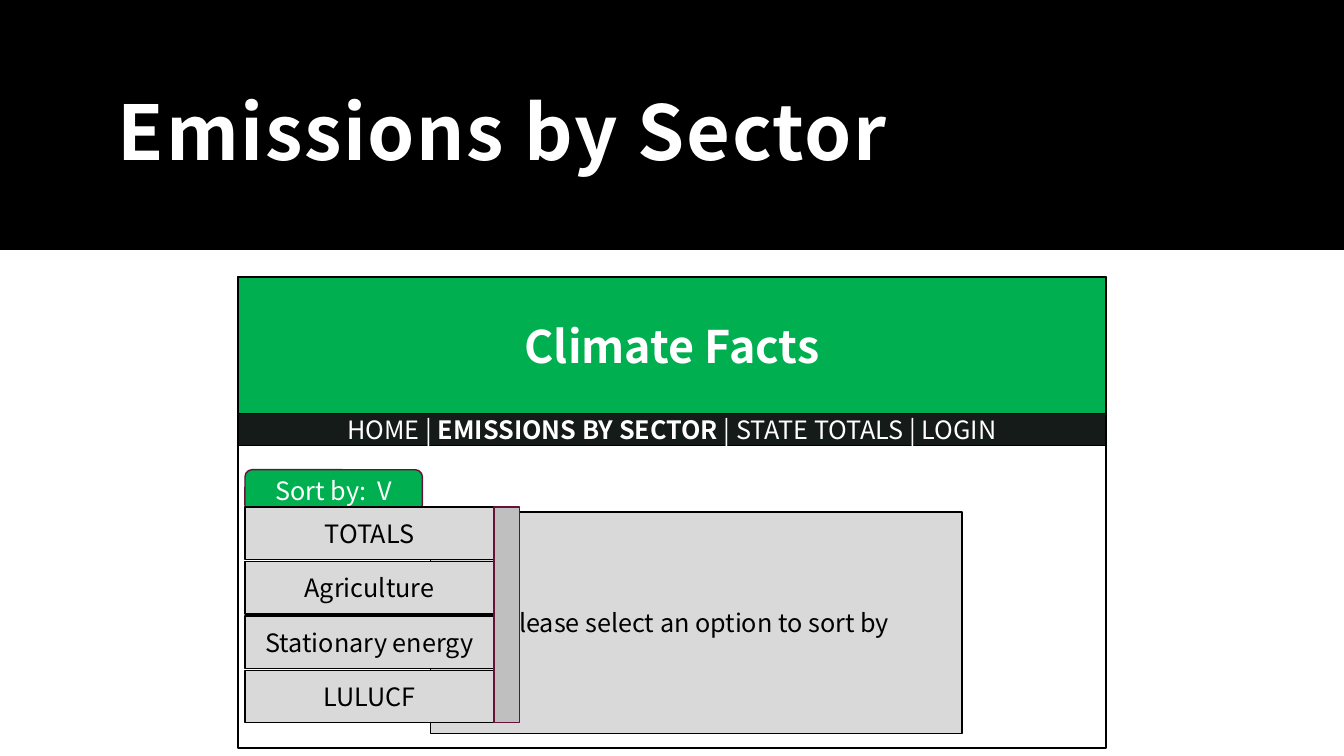
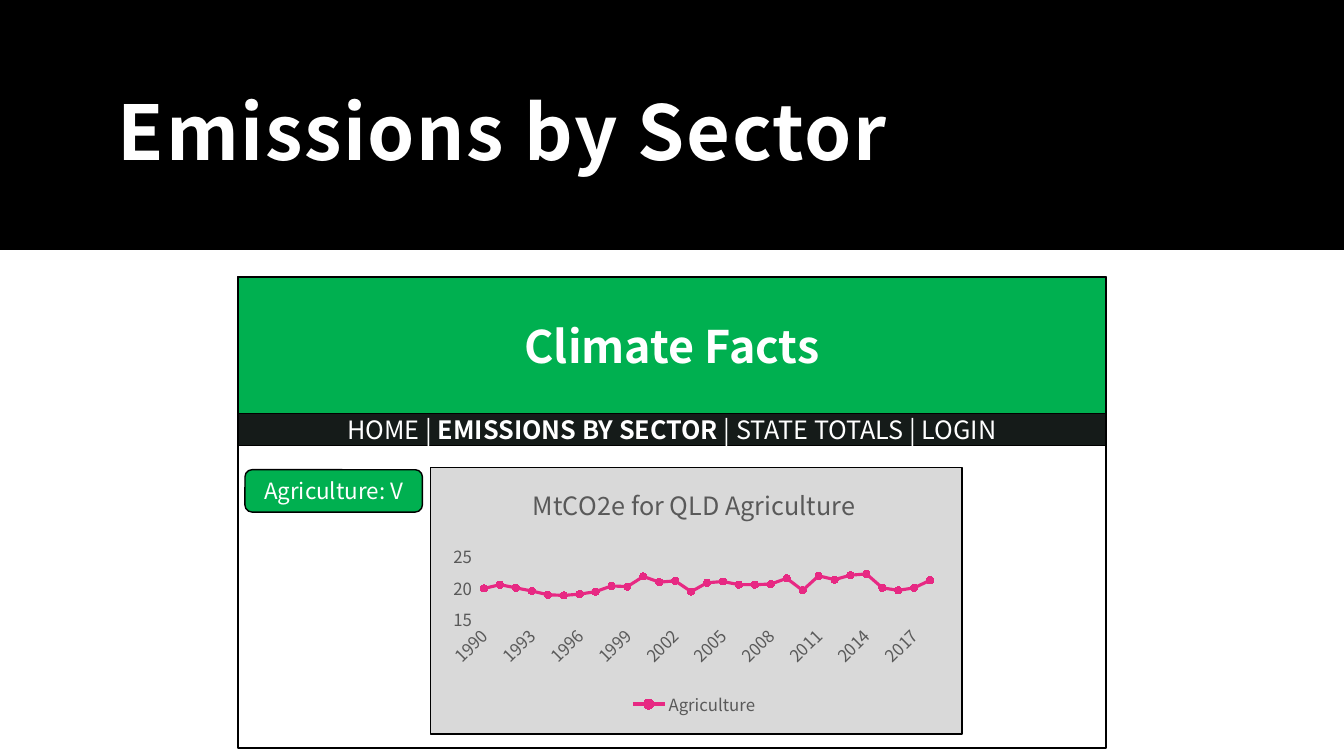
from lxml import etree
from pptx import Presentation
from pptx.chart.data import CategoryChartData
from pptx.dml.color import RGBColor
from pptx.enum.chart import (XL_CHART_TYPE as ChartType, XL_LEGEND_POSITION as LegendSide,
                             XL_MARKER_STYLE as Marker, XL_TICK_MARK as Tick)
from pptx.enum.shapes import MSO_SHAPE as Shape
from pptx.enum.text import MSO_ANCHOR as Anchor, PP_ALIGN as Align
from pptx.oxml import parse_xml
from pptx.oxml.ns import nsdecls
from pptx.util import Inches, Pt

FONT = "Noto Sans CJK JP"
BLACK = RGBColor(0x00, 0x00, 0x00)
WHITE = RGBColor(0xFF, 0xFF, 0xFF)
GREEN = RGBColor(0x00, 0xB0, 0x50)
CHARCOAL = RGBColor(0x15, 0x1B, 0x19)
PANEL_GREY = RGBColor(0xD9, 0xD9, 0xD9)
SCROLL_GREY = RGBColor(0xBF, 0xBF, 0xBF)
LABEL_GREY = RGBColor(0x59, 0x59, 0x59)
PLUM = RGBColor(0x65, 0x12, 0x39)
PINK = RGBColor(0xE7, 0x29, 0x83)

# Mock web page geometry, in inches
SITE_LEFT, SITE_TOP, SITE_WIDTH, SITE_HEIGHT = 2.36, 2.75, 8.61, 4.67
MENU_LEFT, MENU_TOP, MENU_WIDTH = 2.43, 5.03, 2.47
ROW_HEIGHT, ROW_PITCH = 0.52, 0.54
PANEL_LEFT, PANEL_WIDTH, PANEL_BOTTOM = 4.27, 5.27, 7.28

EMISSIONS = [19.9, 20.5, 20, 19.5, 18.9, 18.8, 19, 19.4, 20.3, 20.2,
             21.8, 20.9, 21.1, 19.4, 20.8, 21, 20.5, 20.5, 20.6, 21.5,
             19.6, 21.9, 21.3, 22, 22.2, 20, 19.6, 20, 21.2]


class Deck:
    """Holds the shared style and the current slide."""

    def __init__(self):
        self.deck = Presentation()
        self.deck.slide_width = Inches(13.33)
        self.deck.slide_height = Inches(7.5)
        self.page = None

    def style(self, font, size, color, **extra):
        values = {"name": FONT, "size": Pt(size), **extra}
        for name, value in values.items():
            setattr(font, name, value)
        font.color.rgb = color

    def shape(self, kind, left, top, width, height, fill, line=BLACK):
        box = self.page.shapes.add_shape(
            kind, Inches(left), Inches(top), Inches(width), Inches(height))
        box.shadow.inherit = False
        box.fill.solid()
        box.fill.fore_color.rgb = fill
        if line is None:
            box.line.fill.background()
        else:
            box.line.color.rgb = line
            box.line.width = Pt(1)
        return box

    def label(self, box, *pieces, size=18, color=BLACK, bold=False):
        """Centre the pieces in the box; a (text, True) piece is bold."""
        box.text_frame.vertical_anchor = Anchor.MIDDLE
        para = box.text_frame.paragraphs[0]
        para.alignment = Align.CENTER
        for piece in pieces:
            text, strong = piece if isinstance(piece, tuple) else (piece, bold)
            span = para.add_run()
            span.text = text
            self.style(span.font, size, color, bold=strong)

    def title(self, text):
        self.shape(Shape.RECTANGLE, 0, 0, 13.33, 2.48, BLACK, None)
        box = self.page.shapes.add_textbox(
            Inches(1.05), Inches(0.35), Inches(11.23), Inches(1.86))
        frame_format = {
            "word_wrap": True, "vertical_anchor": Anchor.MIDDLE,
            "margin_left": Inches(0.12), "margin_right": Inches(0.12),
            "margin_top": Inches(0.12), "margin_bottom": Inches(0.1)}
        for name, value in frame_format.items():
            setattr(box.text_frame, name, value)
        span = box.text_frame.paragraphs[0].add_run()
        span.text = text
        self.style(span.font, 54, WHITE, bold=True)
        span.font._element.set("spc", "120")

    def site_page(self):
        """Start a slide with the title band and the mock web page."""
        self.page = self.deck.slides.add_slide(self.deck.slide_layouts[6])
        self.title("Emissions by Sector")
        self.shape(Shape.RECTANGLE, SITE_LEFT, SITE_TOP, SITE_WIDTH, SITE_HEIGHT, WHITE)
        header = self.shape(Shape.RECTANGLE, SITE_LEFT, SITE_TOP, SITE_WIDTH, 1.36, GREEN)
        self.label(header, "Climate Facts", size=32, color=WHITE, bold=True)
        navigation = self.shape(Shape.RECTANGLE, SITE_LEFT, 4.1, SITE_WIDTH, 0.32, CHARCOAL)
        self.label(navigation, "HOME | ", ("EMISSIONS BY SECTOR ", True),
                   "| STATE TOTALS | LOGIN", color=WHITE)

    def sort_button(self, text, size, line):
        button = self.shape(Shape.ROUNDED_RECTANGLE, MENU_LEFT, 4.66, 1.76, 0.42, GREEN, line)
        self.label(button, text, size=size, color=WHITE)

    def panel(self, top):
        return self.shape(Shape.FLOWCHART_PROCESS, PANEL_LEFT, top, PANEL_WIDTH,
                          PANEL_BOTTOM - top, PANEL_GREY)

    def menu(self, options):
        for index, option in enumerate(options):
            row = self.shape(Shape.FLOWCHART_PROCESS, MENU_LEFT, MENU_TOP + index * ROW_PITCH,
                             MENU_WIDTH, ROW_HEIGHT, PANEL_GREY)
            self.label(row, option)
        self.shape(Shape.FLOWCHART_PROCESS, MENU_LEFT + MENU_WIDTH, MENU_TOP, 0.25,
                   (len(options) - 1) * ROW_PITCH + ROW_HEIGHT, SCROLL_GREY, PLUM)

    def line_chart(self, title, name, first_year, values):
        data = CategoryChartData()
        data.categories = [str(first_year + index) for index in range(len(values))]
        data.add_series(name, values)
        chart = self.page.shapes.add_chart(
            ChartType.LINE_MARKERS_STACKED, Inches(4.31), Inches(4.64),
            Inches(5.15), Inches(2.51), data).chart
        self.style(chart.font, 10, BLACK)

        # Title and legend
        chart.has_title = True
        span = chart.chart_title.text_frame.paragraphs[0].add_run()
        span.text = title
        self.style(span.font, 18, LABEL_GREY, bold=False)
        chart.chart_title.include_in_layout = False
        chart.has_legend = True
        chart.legend.position = LegendSide.BOTTOM
        chart.legend.include_in_layout = False
        self.style(chart.legend.font, 12, LABEL_GREY)

        # Axes
        years, amounts = chart.category_axis, chart.value_axis
        for axis in (years, amounts):
            axis.major_tick_mark = axis.minor_tick_mark = Tick.NONE
            self.style(axis.tick_labels.font, 12, LABEL_GREY)
        scale = {"minimum_scale": 15, "maximum_scale": 25, "major_unit": 5}
        for setting, value in scale.items():
            setattr(amounts, setting, value)
        amounts.format.line.fill.background()
        for line in (years.format.line, amounts.major_gridlines.format.line):
            line.color.rgb = PANEL_GREY
            line.width = Pt(0.75)
        years._element.txPr.bodyPr.set("rot", "-2700000")

        # Series
        plot = chart.plots[0]
        plot.vary_by_categories = False
        series = plot.series[0]
        series.smooth = False
        series.format.line.color.rgb = PINK
        series.format.line.width = Pt(2.25)
        series.marker.style = Marker.CIRCLE
        series.marker.size = 5
        series.marker.format.fill.solid()
        series.marker.format.fill.fore_color.rgb = PINK
        series.marker.format.line.color.rgb = PINK
        self.place_plot(chart, x=0.08, y=0.35, w=0.89, h=0.25)

    def place_plot(self, chart, **fractions):
        """Fix the inner plot area as fractions of the chart."""
        area = chart._chartSpace.chart.plotArea
        for old in area.findall("{*}layout"):
            area.remove(old)
        layout = parse_xml(f"<c:layout {nsdecls('c')}><c:manualLayout/></c:layout>")
        settings = {"layoutTarget": "inner", "xMode": "edge", "yMode": "edge", **fractions}
        for name, value in settings.items():
            tag = etree.QName(layout.nsmap["c"], name)
            etree.SubElement(layout[0], tag).set("val", str(value))
        area.insert(0, layout)


def main():
    site = Deck()

    # Open sort menu
    site.site_page()
    site.sort_button("Sort by:  V", 18, PLUM)
    site.label(site.panel(5.08), "Please select an option to sort by")
    site.menu(["TOTALS", "Agriculture", "Stationary energy", "LULUCF"])

    # Chart for the chosen sector
    site.site_page()
    site.sort_button("Agriculture: V", 16, BLACK)
    site.panel(4.64)
    site.line_chart("MtCO2e for QLD Agriculture", "Agriculture", 1990, EMISSIONS)

    site.deck.save("out.pptx")


if __name__ == "__main__":
    main()
